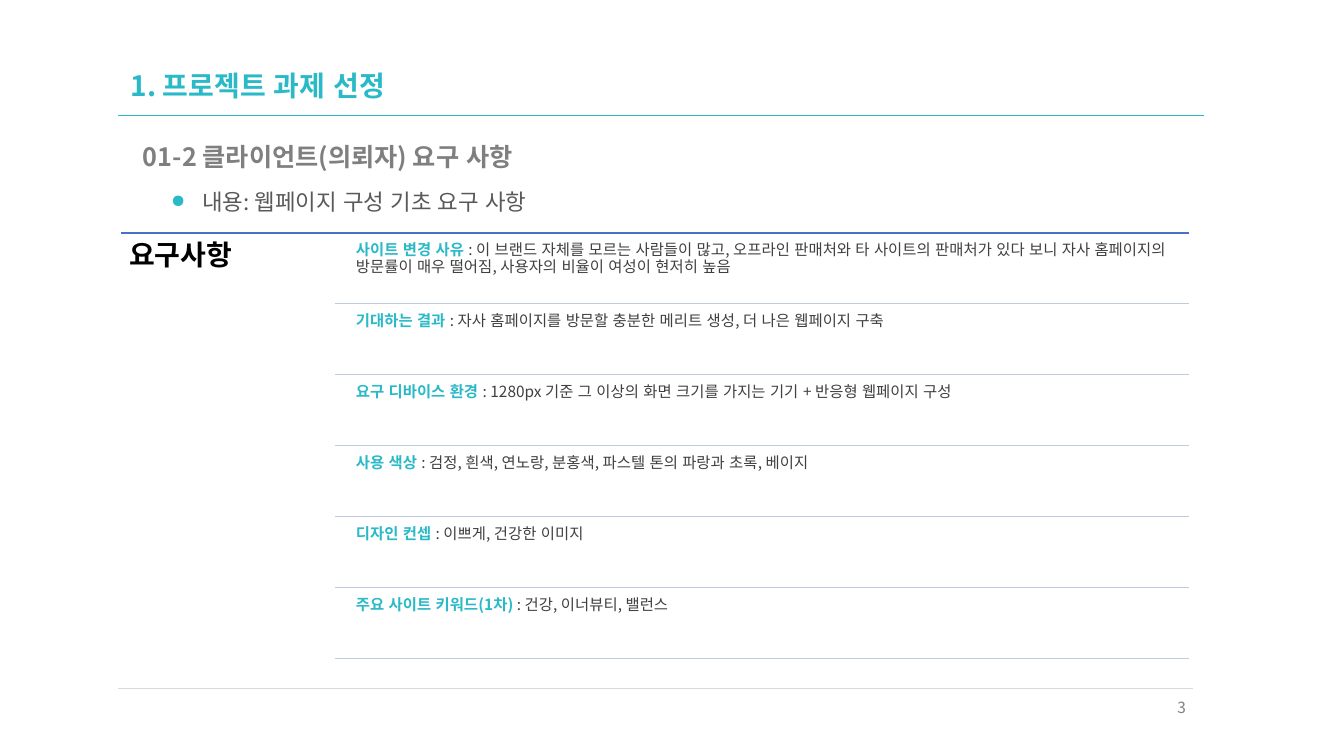
from lxml.etree import SubElement
from pptx import Presentation
from pptx.dml.color import RGBColor
from pptx.enum.lang import MSO_LANGUAGE_ID as Language
from pptx.enum.shapes import MSO_CONNECTOR as Connector
from pptx.enum.text import MSO_ANCHOR as Anchor, PP_ALIGN as Align
from pptx.oxml.ns import qn
from pptx.util import Inches, Pt

FONT = "Noto Sans CJK KR"
TEAL, BLACK, BODY = "2AB9C7", "000000", "404040"
BLUE, LAVENDER, PALE = "4472C4", "C1C9E4", "D9D9D9"

presentation = Presentation()
presentation.slide_width, presentation.slide_height = Inches(13.33), Inches(7.5)
slide = presentation.slides.add_slide(presentation.slide_layouts[6])

# Fine grid over the slide; every box is (left, top, width, height) in its cells
COLUMNS, ROWS = 1333, 750
CELL_WIDTH = presentation.slide_width / COLUMNS
CELL_HEIGHT = presentation.slide_height / ROWS


def across(columns):
    return round(columns * CELL_WIDTH)


def down(rows):
    return round(rows * CELL_HEIGHT)


def color(hex_string):
    return RGBColor.from_string(hex_string)


def add_rule(left, right, top, line_color, width=1):
    rule = slide.shapes.add_connector(
        Connector.STRAIGHT, across(left), down(top), across(right), down(top))
    rule.line.color.rgb = color(line_color)
    rule.line.width = Pt(width)
    SubElement(rule._element.spPr, qn("a:effectLst"))


def add_bullet(paragraph, bullet_color, indent):
    properties = paragraph._p.get_or_add_pPr()
    properties.set("marL", str(indent))
    properties.set("indent", str(-indent))
    fill = SubElement(properties, qn("a:buClr"))
    SubElement(fill, qn("a:srgbClr"), val=bullet_color)
    SubElement(properties, qn("a:buSzPct"), val="80000")
    SubElement(properties, qn("a:buChar"), char="●")


def add_text(box, text, size, text_color, bold=False, label="", label_color=TEAL,
             align=Align.LEFT, anchor=Anchor.TOP, inset=None, spacing=0.9,
             before=0, bullet=None):
    left, top, width, height = box
    shape = slide.shapes.add_textbox(
        across(left), down(top), across(width), down(height))
    frame = shape.text_frame
    frame.word_wrap = True
    frame.vertical_anchor = anchor
    if inset is not None:
        frame.margin_left = frame.margin_right = across(inset)
        frame.margin_top = frame.margin_bottom = down(inset)
    paragraph = frame.paragraphs[0]
    paragraph.alignment = align
    paragraph.line_spacing = spacing
    paragraph.space_before = Pt(before)
    if bullet:
        add_bullet(paragraph, bullet, across(31))
    runs = [(label, label_color, True), (text, text_color, bold)]
    for words, run_color, run_bold in runs:
        if not words:
            continue
        run = paragraph.add_run()
        run.text = words
        run.font.name = FONT
        run.font.size = Pt(size)
        run.font.bold = run_bold
        run.font.color.rgb = color(run_color)
        run.font.language_id = Language.KOREAN
        SubElement(run._r.get_or_add_rPr(), qn("a:ea"), typeface=FONT)


def add_heading(box, title, subtitle, summary):
    left, top, width, height = box
    right = left + width
    add_rule(left - 3, right - 4, top + 52, TEAL, 0.5)
    add_text((left, top, width, 49), title, 20, TEAL, bold=True,
             anchor=Anchor.MIDDLE)
    add_text((left + 12, top + 77, width - 12, 34), subtitle, 18, "7F7F7F",
             bold=True, before=10)
    add_text((left + 40, top + height - 34, width - 40, 34), summary, 16,
             "595959", before=10, bullet=TEAL)


def add_requirements(box, heading, items):
    left, top, width, height = box
    right, list_left = left + width, left + 212
    step = height / len(items)
    add_rule(left, right, top, BLUE)
    add_text((left, top, 212, height), heading, 20, BLACK, bold=True, inset=8)
    for index, (label, text) in enumerate(items):
        row_top = top + index * step
        add_text((list_left + 16, row_top + 4.5, width - 228, 66), text, 11, BODY,
                 label=label + " ", inset=5)
        add_rule(list_left, right, row_top + step, LAVENDER)


def add_footer(box, number):
    left, top, width, height = box
    right = left + width
    add_rule(left, right - 3, top, PALE, 0.5)
    add_text((right - 59, top + 5, 59, height - 5), number, 11, "808080",
             align=Align.RIGHT, spacing=1)


# Title, subtitle and summary line
add_heading((120, 62, 1078, 157), "1. 프로젝트 과제 선정",
            "01-2 클라이언트(의뢰자) 요구 사항",
            "내용: 웹페이지 구성 기초 요구 사항")

# Requirement list
add_requirements((120, 231, 1059, 422), "요구사항", [
    ("사이트 변경 사유",
     ": 이 브랜드 자체를 모르는 사람들이 많고, 오프라인 판매처와 타 사이트의 판매처가 "
     "있다 보니 자사 홈페이지의 방문률이 매우 떨어짐, 사용자의 비율이 여성이 현저히 높음"),
    ("기대하는 결과",
     ": 자사 홈페이지를 방문할 충분한 메리트 생성, 더 나은 웹페이지 구축"),
    ("요구 디바이스 환경",
     ": 1280px 기준 그 이상의 화면 크기를 가지는 기기 + 반응형 웹페이지 구성"),
    ("사용 색상", ": 검정, 흰색, 연노랑, 분홍색, 파스텔 톤의 파랑과 초록, 베이지"),
    ("디자인 컨셉", ": 이쁘게, 건강한 이미지"),
    ("주요 사이트 키워드(1차)", ": 건강, 이너뷰티, 밸런스"),
])

# Footer line and page number
add_footer((117, 683, 1069, 45), "3")

presentation.save("out.pptx")
